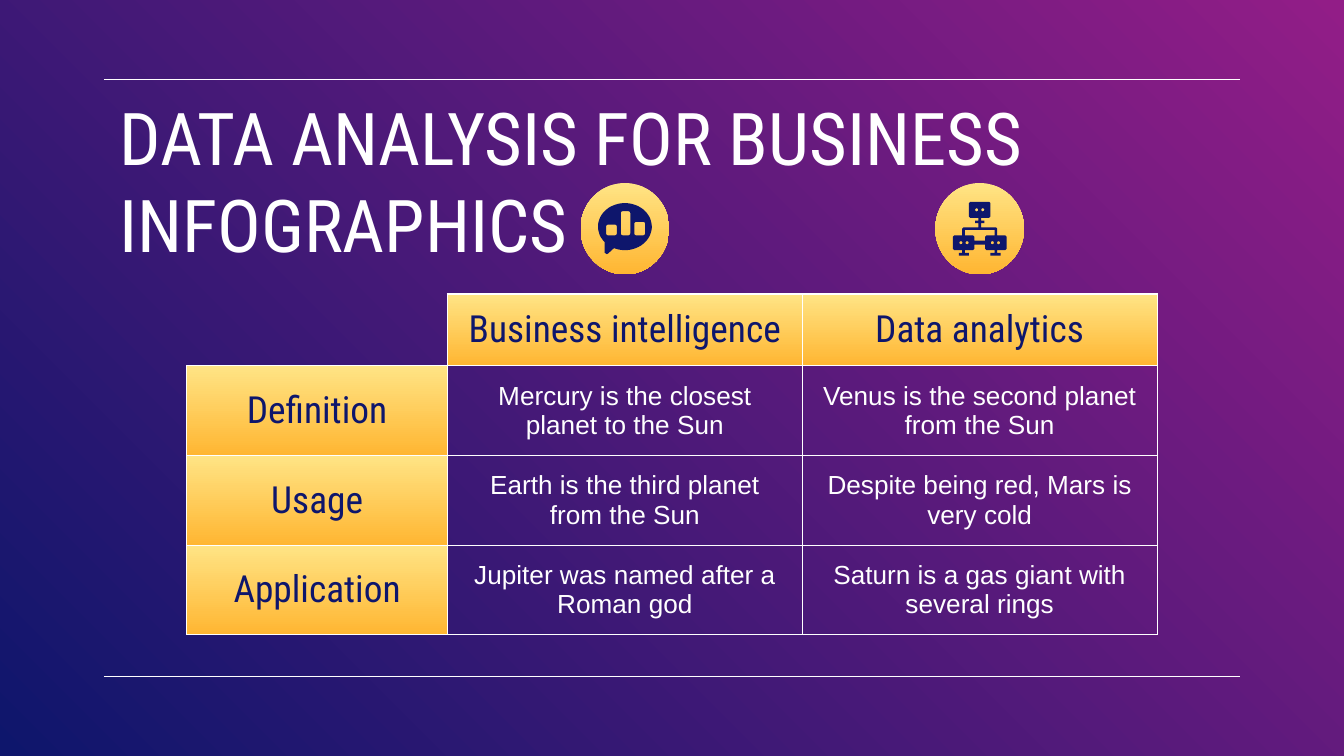
import math
from lxml import etree
from pptx import Presentation
from pptx import util as u
from pptx.dml.color import RGBColor
from pptx.enum import shapes, text
from pptx.oxml.ns import qn

W = u.Inches(10)
H = W * 9 // 16
PAD = u.Inches(0.1)
COLORS = {"white": "FFFFFF", "navy": "0E166C", "magenta": "921D87",
          "cream": "FFE485", "amber": "FFB632"}
HEAD = ("Roboto Condensed", 20, "navy")
BODY = ("Arial", 14, "white")
ROWS = [
    ["", "Business intelligence", "Data analytics"],
    ["Definition", "Mercury is the closest planet to the Sun",
     "Venus is the second planet from the Sun"],
    ["Usage", "Earth is the third planet from the Sun",
     "Despite being red, Mars is very cold"],
    ["Application", "Jupiter was named after a Roman god",
     "Saturn is a gas giant with several rings"],
]
COLS = [19.4, 26.4, 26.4]
ROW = 7.41
ICON_GRID = 40
FINE = 10


def box(x, y, w, h):
    return [int(v * full / 100) for v, full in ((x, W), (y, H), (w, W), (h, H))]


def rgb(name):
    return RGBColor.from_string(COLORS[name])


def gradient(fill, start, end, angle):
    fill.gradient()
    fill.gradient_angle = angle
    for stop, name in zip(fill.gradient_stops, (start, end)):
        stop.color.rgb = rgb(name)


def gold(fill):
    gradient(fill, "cream", "amber", 270)


def add_run(p, words, font, size, color):
    r = p.add_run()
    r.text = words
    r.font.name, r.font.size = font, u.Pt(size)
    r.font.color.rgb = rgb(color)


def add_rules(s, area):
    x, y, w, h = area
    for level in (y, y + h):
        line = s.shapes.add_connector(shapes.MSO_CONNECTOR.STRAIGHT, x, level, x + w, level)
        line.line.color.rgb = rgb("white")
        line.line.width = u.Pt(0.75)
        etree.SubElement(line._element.spPr, qn("a:effectLst"))


def add_title(s, area, words):
    tf = s.shapes.add_textbox(*area).text_frame
    tf.word_wrap = True
    tf.margin_left = tf.margin_right = tf.margin_top = tf.margin_bottom = PAD
    add_run(tf.paragraphs[0], words, "Roboto Condensed", 39, "white")


def set_borders(cell, hidden):
    tc_pr = cell._tc.get_or_add_tcPr()
    for i, side in enumerate("LRTB"):
        ln = etree.Element(qn(f"a:ln{side}"), w=str(u.Pt(0.75)))
        if side in hidden:
            etree.SubElement(ln, qn("a:noFill"))
        else:
            fill = etree.SubElement(ln, qn("a:solidFill"))
            etree.SubElement(fill, qn("a:srgbClr"), val=COLORS["white"])
        tc_pr.insert(i, ln)


def add_comparison(s, area):
    frame = s.shapes.add_table(len(ROWS), len(COLS), *area)
    table = frame.table
    table.first_row = table.horz_banding = False
    for col, share in zip(table.columns, COLS):
        col.width = int(W * share / 100)
    for row in table.rows:
        row.height = int(H * ROW / 100)
    frame.width, frame.height = area[2:]
    for i, row in enumerate(ROWS):
        for j, words in enumerate(row):
            cell = table.cell(i, j)
            corner, header = i + j == 0, i * j == 0
            cell.margin_left = cell.margin_right = PAD
            cell.margin_top = cell.margin_bottom = PAD
            cell.vertical_anchor = text.MSO_ANCHOR.MIDDLE
            if header and not corner:
                gold(cell.fill)
            else:
                cell.fill.background()
            set_borders(cell, "LT" if corner else "")
            if words:
                p = cell.text_frame.paragraphs[0]
                p.alignment = text.PP_ALIGN.CENTER
                add_run(p, words, *(HEAD if header else BODY))


def arc(cx, cy, rx, ry, start=0, end=360, step=6):
    angles = [math.radians(a) for a in range(start, end + 1, step)]
    return [(cx + rx * math.cos(a), cy + ry * math.sin(a)) for a in angles]


def rounded(x1, y1, x2, y2, r=1.3):
    corners = [(x2 - r, y2 - r), (x1 + r, y2 - r), (x1 + r, y1 + r), (x2 - r, y1 + r)]
    return [pt for k, (cx, cy) in enumerate(corners)
            for pt in arc(cx, cy, r, r, 90 * k, 90 * k + 90, 30)]


def mirrored(half):
    return half + [(ICON_GRID - x, y) for x, y in reversed(half)]


def chat_chart():
    bubble = arc(20, 18.5, 20, 17.5, 139, 474, 5) + [(7.5, 38.5), (6.5, 39), (5, 38)]
    return [bubble, rounded(6, 17, 14, 25), rounded(17, 7, 24, 25), rounded(27, 15, 35, 25)]


def network():
    outline = mirrored([
        (20, 0), (27, 0), (28, 1), (28, 11), (27, 12), (21, 12), (21, 14), (23.5, 14),
        (23.5, 16), (21, 16), (21, 19), (32, 19), (33, 20), (33, 25), (39, 25), (40, 26),
        (40, 35), (39, 36), (33, 36), (33, 38), (35.5, 38), (35.5, 40), (28, 40),
        (28, 38), (31, 38), (31, 36), (25, 36), (24, 35), (24, 32), (20, 32)])
    gap = mirrored([(20, 21), (31, 21), (31, 25), (25, 25), (24, 26), (24, 29), (20, 29)])
    eyes = [arc(cx + d, cy, 1.2, 1.2, step=30)
            for cx, cy in ((20, 6), (8.3, 30.5), (31.7, 30.5)) for d in (-2.3, 2.3)]
    return [outline, gap] + eyes


def add_badge(s, area, contours):
    x, y, w, h = area
    disc = s.shapes.add_shape(shapes.MSO_SHAPE.OVAL, *area)
    gold(disc.fill)
    side = W * 0.04
    fine = [[(px * FINE, py * FINE) for px, py in c] for c in contours]
    fb = s.shapes.build_freeform(*fine[0][0], scale=side / ICON_GRID / FINE)
    fb.add_line_segments(fine[0][1:], close=True)
    for c in fine[1:]:
        fb.move_to(*c[0])
        fb.add_line_segments(c[1:], close=True)
    icon = fb.convert_to_shape(int(x + (w - side) / 2), int(y + (h - side) / 2))
    icon.fill.solid()
    icon.fill.fore_color.rgb = rgb("navy")
    for sp in (disc, icon):
        sp.line.fill.background()
        sp.shadow.inherit = False


def main():
    prs = Presentation()
    prs.slide_width, prs.slide_height = W, H
    s = prs.slides.add_slide(prs.slide_layouts[6])
    gradient(s.background.fill, "magenta", "navy", 225)
    add_rules(s, box(7.74, 10.5, 84.52, 79))
    add_title(s, box(7.9, 10.5, 84.3, 11.2), "DATA ANALYSIS FOR BUSINESS INFOGRAPHICS")
    left, badge = 13.9, 6.6
    add_comparison(s, box(left, 38.9, 32.8, 58.3))
    for j, contours in enumerate((chat_chart(), network()), 1):
        centre = left + sum(COLS[:j]) + COLS[j] / 2
        add_badge(s, box(centre - badge / 2, 24.2, badge, 12.1), contours)
    prs.save("out.pptx")


if __name__ == "__main__":
    main()
